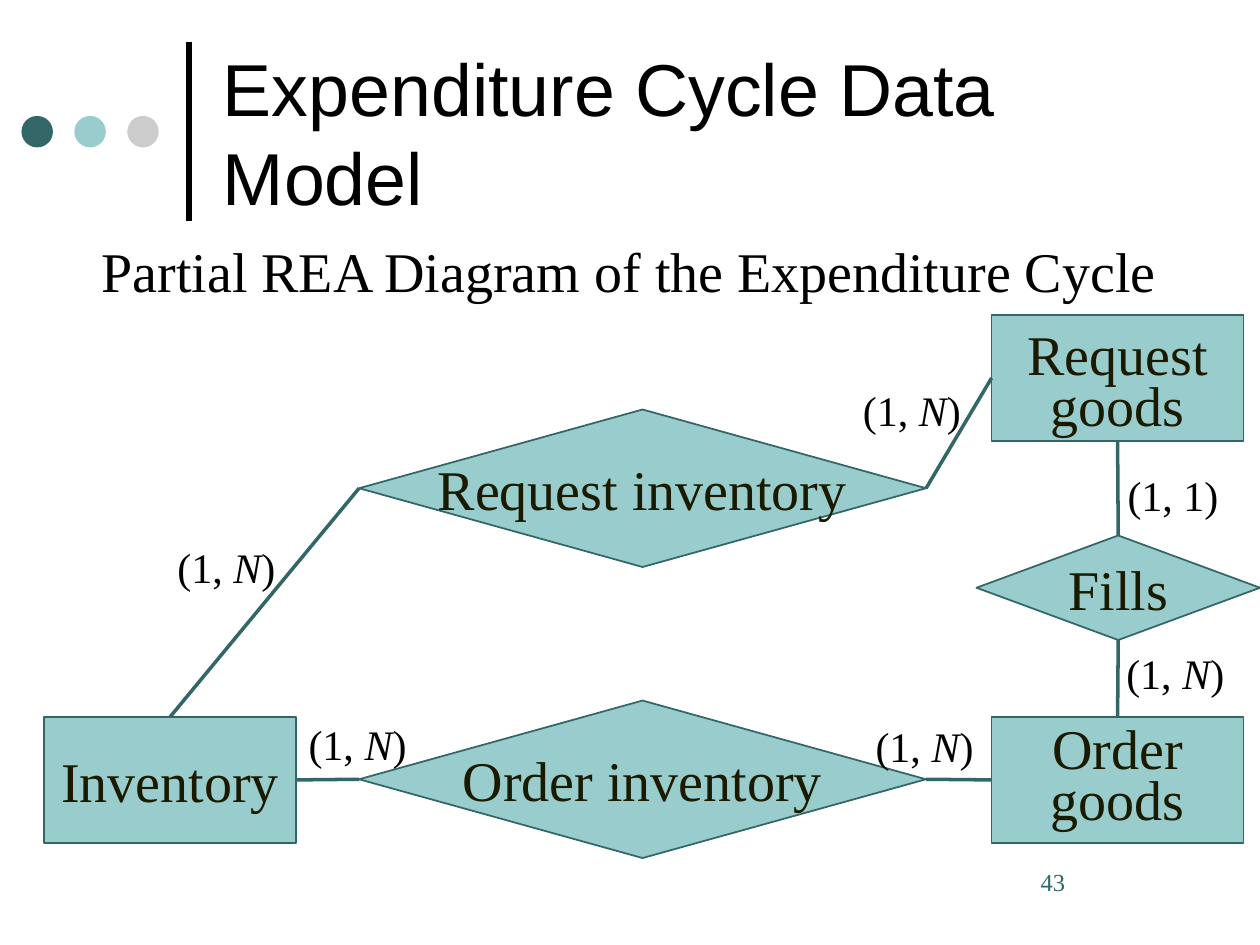
from lxml.etree import SubElement
from pptx import Presentation
from pptx.dml.color import RGBColor
from pptx.enum.shapes import MSO_CONNECTOR, MSO_SHAPE
from pptx.enum.text import MSO_ANCHOR, PP_ALIGN
from pptx.oxml.ns import qn
from pptx.util import Pt

EMU_PER_PX = 9144
SERIF = "Times New Roman"
TEAL = "336666"
LIGHT_TEAL = "99CCCC"
GREY = "CCCCCC"
BLACK = "000000"
NODE_TEXT = "1A1A00"
TOP, LEFT, BOTTOM, RIGHT = range(4)
ONE_TO_MANY = [("(1, ", False), ("N", True), (")", False)]
ONE_TO_ONE = [("(1, 1)", False)]


def px(*lengths):
    return [length * EMU_PER_PX for length in lengths]


def color(hex_string):
    return RGBColor.from_string(hex_string)


def write_text(shape, paragraphs, size, font=SERIF, ink=BLACK, align=PP_ALIGN.LEFT,
               anchor=MSO_ANCHOR.TOP, wrap=True, spacings=()):
    frame = shape.text_frame
    frame.word_wrap = wrap
    frame.vertical_anchor = anchor
    for index, runs in enumerate(paragraphs):
        paragraph = frame.add_paragraph() if index else frame.paragraphs[0]
        paragraph.alignment = align
        if index < len(spacings):
            paragraph.line_spacing = spacings[index]
        for text, italic in runs:
            run = paragraph.add_run()
            run.text = text
            run.font.size = Pt(size)
            run.font.name = font
            run.font.italic = italic
            run.font.color.rgb = color(ink)


def add_text(slide, box, paragraphs, size, **text_format):
    shape = slide.shapes.add_textbox(*px(*box))
    write_text(shape, paragraphs, size, **text_format)
    return shape


def add_filled(slide, kind, box, fill, outline=None):
    shape = slide.shapes.add_shape(kind, *px(*box))
    shape.shadow.inherit = False
    shape.fill.solid()
    shape.fill.fore_color.rgb = color(fill)
    if outline:
        shape.line.color.rgb = color(outline)
        shape.line.width = Pt(1)
    else:
        shape.line.fill.background()
    return shape


def add_node(slide, kind, box, lines, spacings=()):
    shape = add_filled(slide, kind, box, LIGHT_TEAL, TEAL)
    write_text(shape, [[(line, False)] for line in lines], 32, ink=NODE_TEXT,
               align=PP_ALIGN.CENTER, anchor=MSO_ANCHOR.MIDDLE, wrap=False,
               spacings=spacings)
    return shape


def add_line(slide, ends, ink, width):
    connector = slide.shapes.add_connector(MSO_CONNECTOR.STRAIGHT, *px(*ends))
    connector.line.color.rgb = color(ink)
    connector.line.width = Pt(width)
    SubElement(connector._element.spPr, qn("a:effectLst"))
    return connector


def join(slide, start, start_side, end, end_side):
    connector = add_line(slide, (0, 0, 0, 0), TEAL, 2)
    connector.begin_connect(start, start_side)
    connector.end_connect(end, end_side)


def add_heading(slide):
    add_line(slide, (150, 175, 150, 33), BLACK, 3)
    for index, fill in enumerate((TEAL, LIGHT_TEAL, GREY)):
        add_filled(slide, MSO_SHAPE.OVAL, (17 + 42 * index, 92, 25, 25), fill)
    add_text(slide, (167, 21, 767, 167), [[("Expenditure Cycle Data Model", False)]], 42,
             font="Arial", anchor=MSO_ANCHOR.MIDDLE)
    add_text(slide, (58, 183, 883, 63),
             [[("Partial REA Diagram of the Expenditure Cycle", False)]], 32,
             align=PP_ALIGN.CENTER)


def add_diagram(slide):
    entity, relationship = MSO_SHAPE.RECTANGLE, MSO_SHAPE.DIAMOND
    inventory = add_node(slide, entity, (35, 569, 200, 100), ["Inventory"])
    order_inventory = add_node(slide, relationship, (285, 556, 450, 125), ["Order inventory"])
    order_goods = add_node(slide, entity, (787, 569, 200, 100), ["Order", "goods"], (0.75, 0.75))
    request_goods = add_node(slide, entity, (787, 250, 200, 100), ["Request", "goods"], (1, 0.75))
    fills = add_node(slide, relationship, (775, 425, 225, 83), ["Fills"])
    request_inventory = add_node(slide, relationship, (285, 325, 450, 125), ["Request inventory"])

    join(slide, inventory, RIGHT, order_inventory, LEFT)
    join(slide, order_goods, LEFT, order_inventory, RIGHT)
    join(slide, request_inventory, LEFT, inventory, TOP)
    join(slide, request_inventory, RIGHT, request_goods, LEFT)
    join(slide, order_goods, TOP, fills, BOTTOM)
    join(slide, fills, TOP, request_goods, BOTTOM)

    for left, top, runs in (
        (235, 565, ONE_TO_MANY),
        (685, 567, ONE_TO_MANY),
        (131, 425, ONE_TO_MANY),
        (675, 300, ONE_TO_MANY),
        (885, 368, ONE_TO_ONE),
        (884, 509, ONE_TO_MANY),
    ):
        add_text(slide, (left, top, 108, 50), [runs], 24)


def main():
    presentation = Presentation()
    presentation.slide_width, presentation.slide_height = px(1000, 750)
    slide = presentation.slides.add_slide(presentation.slide_layouts[6])
    add_heading(slide)
    add_diagram(slide)
    add_text(slide, (816, 683, 118, 50), [[("43", False)]], 14, ink=TEAL)
    presentation.save("out.pptx")


if __name__ == "__main__":
    main()
